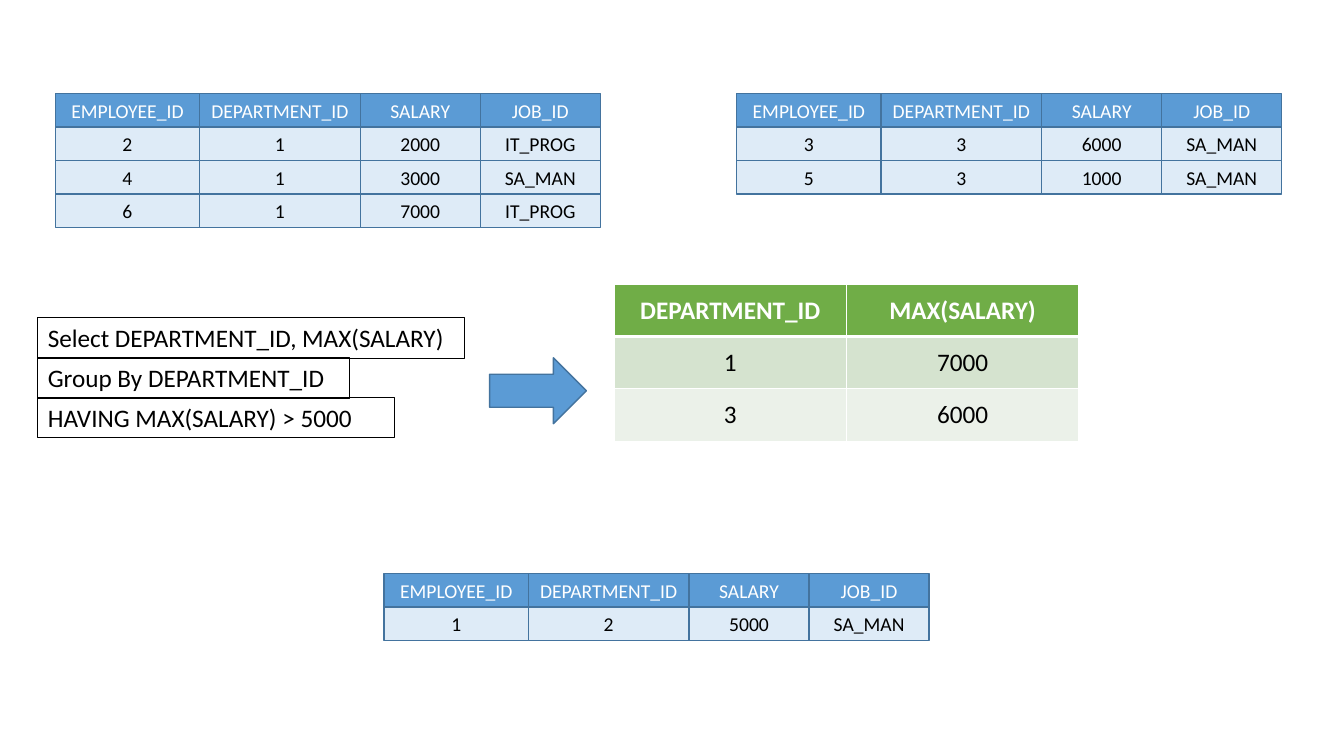
from dataclasses import dataclass
from typing import Any

from lxml import etree
from pptx import Presentation
from pptx.dml.color import RGBColor
from pptx.enum.shapes import MSO_SHAPE
from pptx.enum.text import MSO_ANCHOR, MSO_AUTO_SIZE, PP_ALIGN
from pptx.oxml.ns import qn
from pptx.util import Inches, Pt

RECTANGLE = MSO_SHAPE.RECTANGLE
RIGHT_ARROW = MSO_SHAPE.RIGHT_ARROW
MIDDLE, TOP = MSO_ANCHOR.MIDDLE, MSO_ANCHOR.TOP
CENTER, LEFT = PP_ALIGN.CENTER, PP_ALIGN.LEFT
GROW = MSO_AUTO_SIZE.SHAPE_TO_FIT_TEXT

WHITE = RGBColor(0xFF, 0xFF, 0xFF)
BLACK = RGBColor(0x00, 0x00, 0x00)
BLUE = RGBColor(0x5B, 0x9B, 0xD5)
DARK_BLUE = RGBColor(0x43, 0x73, 0x9E)
PALE_BLUE = RGBColor(0xDE, 0xEB, 0xF7)
GREEN = RGBColor(0x70, 0xAD, 0x47)
GREEN_BANDS = (RGBColor(0xD5, 0xE3, 0xCF), RGBColor(0xEB, 0xF1, 0xE9))

PAGE_WIDTH, PAGE_HEIGHT = Inches(13.33), Inches(7.5)
FIELDS = ("EMPLOYEE_ID", "DEPARTMENT_ID", "SALARY", "JOB_ID")
FIELD_WIDTHS = (10.73, 11.96, 8.93, 8.93)
RECORD_HEIGHT = 4.42
QUERY_LEFT, QUERY_TOP, QUERY_STEP, QUERY_HEIGHT = 2.82, 42, 5.27, 5.39


@dataclass(frozen=True)
class Area:
    """Percentages of the slide's width and height."""
    left: float
    top: float
    width: float
    height: float

    def lengths(self) -> tuple[int, int, int, int]:
        return (int(PAGE_WIDTH * self.left / 100), int(PAGE_HEIGHT * self.top / 100),
                int(PAGE_WIDTH * self.width / 100), int(PAGE_HEIGHT * self.height / 100))


@dataclass(frozen=True)
class Department:
    left: float
    top: float
    records: tuple[tuple[str, ...], ...]


@dataclass(frozen=True)
class QueryLine:
    text: str
    width: float


DEPARTMENTS = (
    Department(4.12, 12.4, (("2", "1", "2000", "IT_PROG"),
                            ("4", "1", "3000", "SA_MAN"),
                            ("6", "1", "7000", "IT_PROG"))),
    Department(54.82, 12.4, (("3", "3", "6000", "SA_MAN"),
                             ("5", "3", "1000", "SA_MAN"))),
    Department(28.58, 75.87, (("1", "2", "5000", "SA_MAN"),)),
)
QUERY = (
    QueryLine("Select DEPARTMENT_ID, MAX(SALARY)", 31.73),
    QueryLine("Group By DEPARTMENT_ID", 23.18),
    QueryLine("HAVING MAX(SALARY) > 5000", 26.55),
)
RESULT = (("DEPARTMENT_ID", "MAX(SALARY)"), ("1", "7000"), ("3", "6000"))
RESULT_AREA = Area(45.7, 37.6, 34.56, 20.76)
ARROW_AREA = Area(36.43, 47.33, 7.2, 8.72)


def apply(target: Any, values: dict[str, Any]) -> None:
    for name, value in values.items():
        setattr(target, name, value)


def write(frame: Any, text: str, size: float, color: RGBColor,
          align: Any = CENTER, bold: bool = False) -> None:
    para = frame.paragraphs[0]
    para.alignment = align
    span = para.add_run()
    span.text = text
    apply(span.font, {"name": "Calibri", "size": Pt(size), "bold": bold})
    span.font.color.rgb = color


def draw_shape(shapes: Any, kind: Any, area: Area, fill: RGBColor | None,
               line: RGBColor, weight: float) -> Any:
    shape = shapes.add_shape(kind, *area.lengths())
    shape.shadow.inherit = False
    if fill is None:
        shape.fill.background()
    else:
        shape.fill.solid()
        shape.fill.fore_color.rgb = fill
    shape.line.color.rgb = line
    shape.line.width = Pt(weight)
    return shape


def draw_record(page: Any, left: float, top: float, values: tuple[str, ...],
                fill: RGBColor, color: RGBColor) -> None:
    group = page.shapes.add_group_shape()
    for value, width in zip(values, FIELD_WIDTHS):
        area = Area(left, top, width, RECORD_HEIGHT)
        box = draw_shape(group.shapes, RECTANGLE, area, fill, DARK_BLUE, 1)
        apply(box.text_frame, {"vertical_anchor": MIDDLE, "word_wrap": True,
                               "margin_left": 0, "margin_right": 0})
        write(box.text_frame, value, 14, color)
        left += width


def draw_department(page: Any, department: Department) -> None:
    for index, values in enumerate((FIELDS, *department.records)):
        fill, color = (PALE_BLUE, BLACK) if index else (BLUE, WHITE)
        top = department.top + index * RECORD_HEIGHT
        draw_record(page, department.left, top, values, fill, color)


def draw_query_line(page: Any, index: int, line: QueryLine) -> None:
    area = Area(QUERY_LEFT, QUERY_TOP + index * QUERY_STEP, line.width, QUERY_HEIGHT)
    box = draw_shape(page.shapes, RECTANGLE, area, None, BLACK, 0.75)
    apply(box.text_frame, {"vertical_anchor": TOP, "word_wrap": True, "auto_size": GROW})
    write(box.text_frame, line.text, 18, BLACK, LEFT)


def draw_borders(cell: Any, weights: dict[str, float]) -> None:
    properties = cell._tc.get_or_add_tcPr()
    for index, (side, weight) in enumerate(weights.items()):
        border = etree.Element(qn(f"a:{side}"), w=str(Pt(weight)))
        fill = etree.SubElement(border, qn("a:solidFill"))
        etree.SubElement(fill, qn("a:srgbClr"), val=str(WHITE))
        properties.insert(index, border)


def draw_result(page: Any) -> None:
    frame = page.shapes.add_table(len(RESULT), len(RESULT[0]), *RESULT_AREA.lengths())
    for row, values in enumerate(RESULT):
        header = row == 0
        fill = GREEN if header else GREEN_BANDS[row - 1]
        weights = {"lnL": 1, "lnR": 1, "lnT": 3 if row == 1 else 1, "lnB": 3 if header else 1}
        for column, value in enumerate(values):
            cell = frame.table.cell(row, column)
            cell.vertical_anchor = MIDDLE
            cell.fill.solid()
            cell.fill.fore_color.rgb = fill
            draw_borders(cell, weights)
            write(cell.text_frame, value, 18, WHITE if header else BLACK, bold=header)


def main() -> None:
    deck = Presentation()
    apply(deck, {"slide_width": PAGE_WIDTH, "slide_height": PAGE_HEIGHT})
    page = deck.slides.add_slide(deck.slide_layouts[6])
    for department in DEPARTMENTS:
        draw_department(page, department)
    for index, line in enumerate(QUERY):
        draw_query_line(page, index, line)
    draw_result(page)
    draw_shape(page.shapes, RIGHT_ARROW, ARROW_AREA, BLUE, DARK_BLUE, 1)
    deck.save("out.pptx")


if __name__ == "__main__":
    main()
